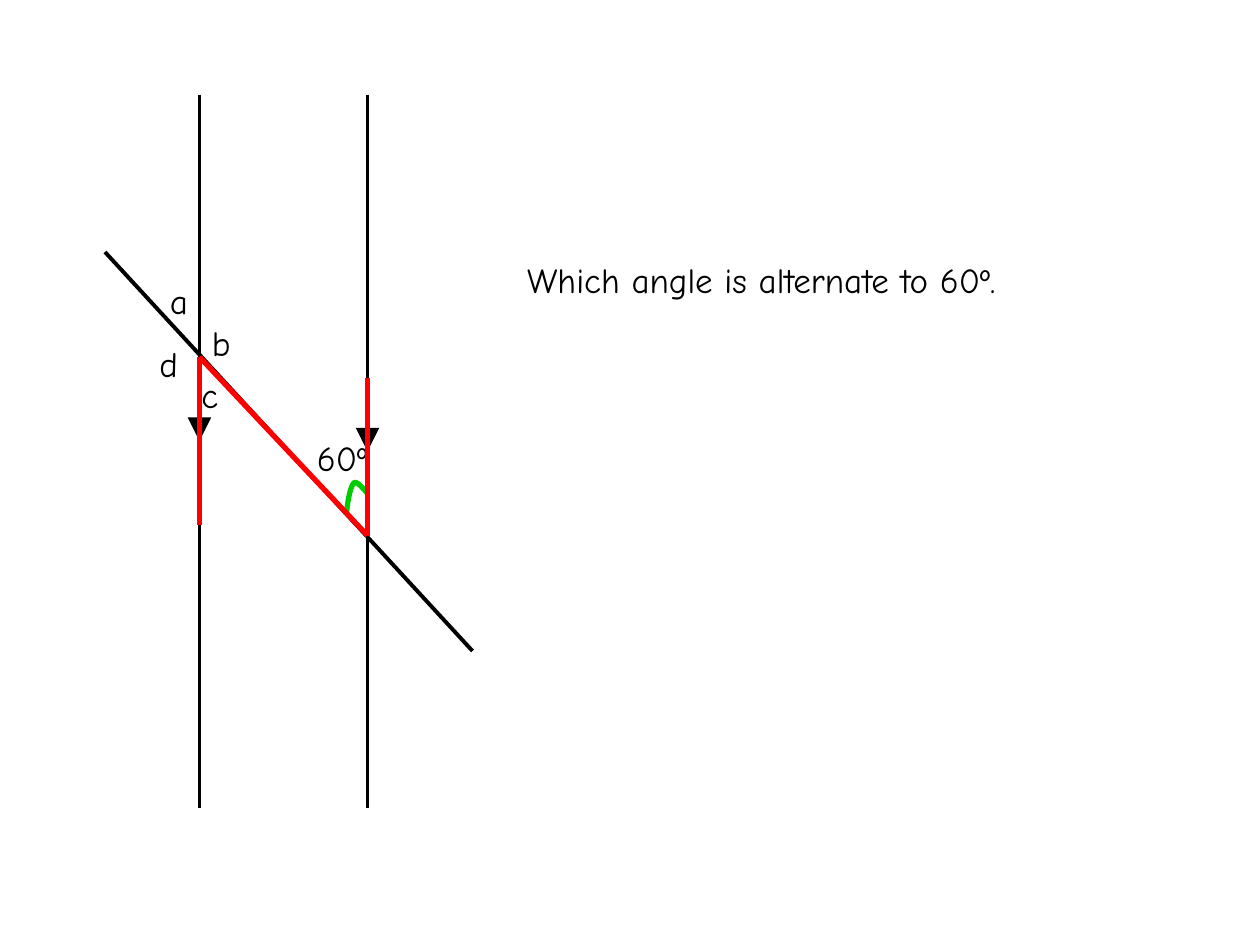
import dataclasses

import pptx
import pptx.dml.color
import pptx.enum.shapes
import pptx.enum.text
import pptx.oxml
import pptx.oxml.ns
import pptx.util


@dataclasses.dataclass(frozen=True)
class Theme:
    """Colours, type and line widths in points."""

    ink: str = "000000"
    highlight: str = "FF0000"
    arc: str = "00CC00"
    font: str = "Comic Neue"
    size: int = 20
    parallel: float = 1.5
    transversal: float = 2.25
    marker: float = 4.5
    accent: float = 3


THEME = Theme()
COLUMNS, ROWS = 120, 90
LEFT, RIGHT = 19, 35
CROSS_LEFT, CROSS_RIGHT = (LEFT, 34), (RIGHT, 51)
LABEL_ROWS = 5.25
LABELS = (("60º", 29, 41, 8), ("a", 15, 26, 4), ("b", 19, 30, 6),
          ("c", 18, 35, 5), ("d", 14, 32, 5))
ARC = (((33, 49), (33.1, 47.6), (33.4, 46.3), (33.7, 46)),
       ((33.7, 46), (34, 45.7), (34.8, 46.8), (35, 47)))
ARC_STEPS = 12


def grid(units):
    """Turn grid units of a twelfth of an inch into a length."""
    return pptx.util.Inches(units / 12)


def assign(target, values):
    """Set attributes from a dict of format values."""
    for name, value in values.items():
        setattr(target, name, value)


def style_line(line, color, width):
    """Give a line its colour and width."""
    line.color.rgb = pptx.dml.color.RGBColor.from_string(color)
    line.width = pptx.util.Pt(width)


def add_segment(shapes, start, end, color, width, arrow=False):
    """Draw a straight line between two grid points."""
    segment = shapes.add_connector(
        pptx.enum.shapes.MSO_CONNECTOR.STRAIGHT, *map(grid, start + end))
    style_line(segment.line, color, width)
    if arrow:
        outline = segment.line._get_or_add_ln()
        head = pptx.oxml.parse_xml(
            f'<a:tailEnd {pptx.oxml.ns.nsdecls("a")} type="triangle"/>')
        outline.append(head)
    segment._element.spPr.append(pptx.oxml.parse_xml(
        f'<a:effectLst {pptx.oxml.ns.nsdecls("a")}/>'))


def curve_point(curve, t):
    """Return the point at share t of a cubic curve."""
    weights = ((1 - t) ** 3, 3 * t * (1 - t) ** 2, 3 * t ** 2 * (1 - t), t ** 3)
    return tuple(grid(sum(w * p for w, p in zip(weights, axis)))
                 for axis in zip(*curve))


def add_arc(shapes):
    """Mark the given angle with an open curve."""
    points = [curve_point(curve, step / ARC_STEPS)
              for curve in ARC for step in range(1, ARC_STEPS + 1)]
    builder = shapes.build_freeform(*curve_point(ARC[0], 0))
    builder.add_line_segments(points, close=False)
    arc = builder.convert_to_shape()
    arc.fill.background()
    arc.shadow.inherit = False
    style_line(arc.line, THEME.arc, THEME.accent)


def write_text(box, text, left, top, width):
    """Place a box on the grid and write one line in it."""
    assign(box, {"left": grid(left), "top": grid(top),
                 "width": grid(width), "height": grid(LABEL_ROWS)})
    assign(box.text_frame, {
        "word_wrap": True,
        "auto_size": pptx.enum.text.MSO_AUTO_SIZE.SHAPE_TO_FIT_TEXT,
        "vertical_anchor": pptx.enum.text.MSO_ANCHOR.TOP})
    para = box.text_frame.paragraphs[0]
    para.alignment = pptx.enum.text.PP_ALIGN.LEFT
    span = para.add_run()
    span.text = text
    assign(span.font, {"name": THEME.font, "size": pptx.util.Pt(THEME.size)})
    span.font.color.rgb = pptx.dml.color.RGBColor.from_string(THEME.ink)


def add_diagram(page):
    """Draw the parallel lines, their arrows and the transversal."""
    shapes = page.shapes.add_group_shape().shapes
    for column, arrow_row in ((LEFT, 40), (RIGHT, 41)):
        add_segment(shapes, (column, 9), (column, 77), THEME.ink, THEME.parallel)
        add_segment(shapes, (column, arrow_row), (column, arrow_row + 2),
                    THEME.ink, THEME.marker, arrow=True)
    add_segment(shapes, (10, 24), (45, 62), THEME.ink, THEME.transversal)


def add_highlight(page):
    """Trace the Z shape that joins the alternate angles."""
    for start, end in ((CROSS_LEFT, (LEFT, 50)), (CROSS_LEFT, CROSS_RIGHT),
                       ((RIGHT, 36), CROSS_RIGHT)):
        add_segment(page.shapes, start, end, THEME.highlight, THEME.accent)


def main():
    """Build and save the slide."""
    deck = pptx.Presentation()
    assign(deck, {"slide_width": grid(COLUMNS), "slide_height": grid(ROWS)})
    page = deck.slides.add_slide(deck.slide_layouts.get_by_name("Title Only"))
    write_text(page.shapes.title, "Which angle is alternate to 60º.", 49, 24, 60)
    add_diagram(page)
    add_arc(page.shapes)
    for text, left, top, width in LABELS:
        write_text(page.shapes.add_textbox(0, 0, 0, 0), text, left, top, width)
    add_highlight(page)
    deck.save("out.pptx")


if __name__ == "__main__":
    main()
